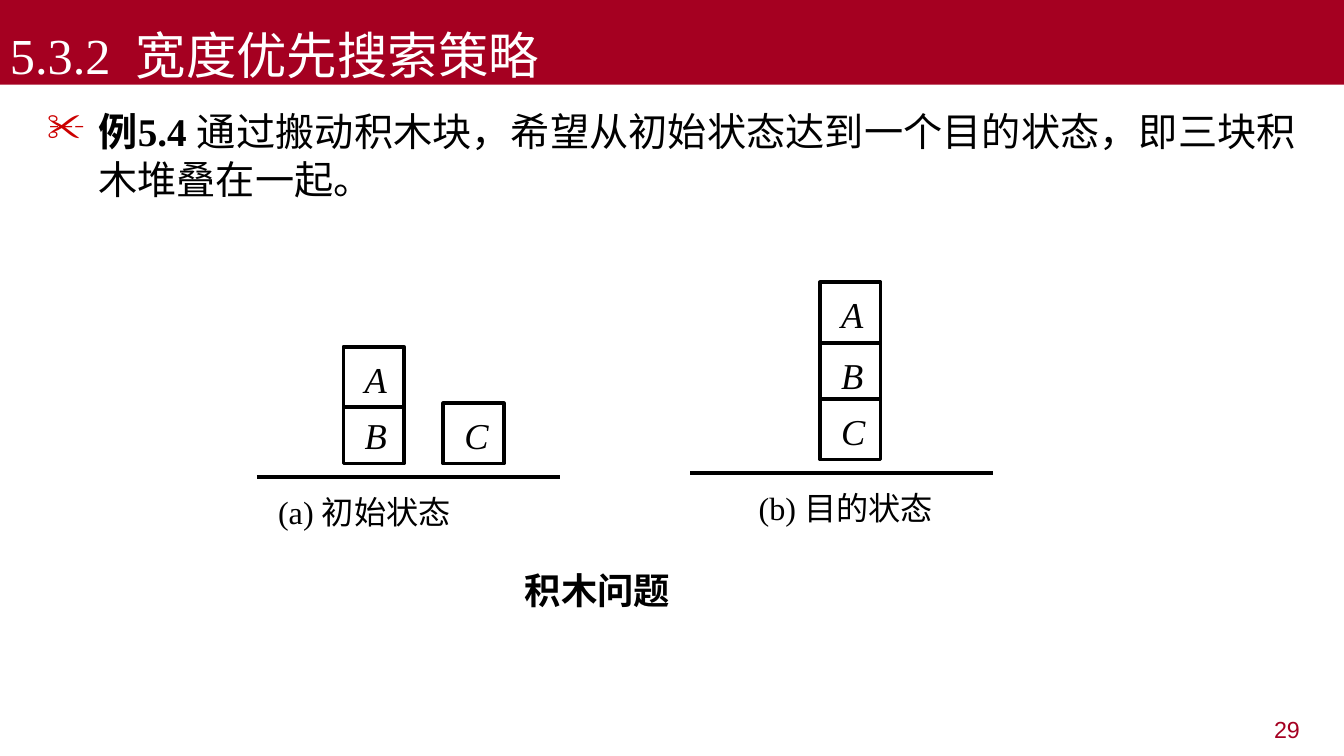
from lxml.etree import SubElement as Sub
from pptx import Presentation
from pptx.dml.color import RGBColor
from pptx.enum.shapes import MSO_CONNECTOR as Conn, MSO_SHAPE as Kind
from pptx.enum.text import MSO_ANCHOR as Anchor, PP_ALIGN as Align
from pptx.oxml.ns import qn
from pptx.util import Inches, Pt

RED = RGBColor(0xA5, 0x00, 0x21)
BLACK = RGBColor(0, 0, 0)
WHITE = RGBColor(255, 255, 255)
SERIF = "Times New Roman"
SANS = "Noto Sans CJK SC"
SIDE = 0.6
STROKE = Pt(2.64)


def style(run, size, color=BLACK, face=SERIF, bold=False, slant=False):
    font = run.font
    font.name, font.size = face, Pt(size)
    font.bold, font.italic = bold, slant
    font.color.rgb = color
    Sub(run._r.get_or_add_rPr(), qn("a:ea")).set("typeface", SANS)


def add_text(slide, box, parts, inset=(0, 0)):
    frame = slide.shapes.add_textbox(*map(Inches, box)).text_frame
    frame.word_wrap = True
    frame.margin_left = frame.margin_right = Inches(inset[0])
    frame.margin_top = frame.margin_bottom = Inches(inset[1])
    para = frame.paragraphs[0]
    for words, look in parts:
        run = para.add_run()
        run.text = words
        style(run, **look)
    return para


def add_box(slide, box, fill):
    rect = slide.shapes.add_shape(Kind.RECTANGLE, *map(Inches, box))
    rect.shadow.inherit = False
    rect.fill.solid()
    rect.fill.fore_color.rgb = fill
    return rect


def add_title(slide, box, words):
    bar = add_box(slide, box, RED)
    bar.line.fill.background()
    frame = bar.text_frame
    frame.text = words
    frame.vertical_anchor = Anchor.BOTTOM
    frame.margin_top = frame.margin_bottom = 0
    para = frame.paragraphs[0]
    para.alignment = Align.LEFT
    style(para.runs[0], 36, WHITE)


def add_body(slide, box):
    para = add_text(slide, box, [
        ("例5.4 ", dict(size=28, bold=True)),
        ("通过搬动积木块，希望从初始状态达到一个目的状态，即三块积木堆叠在一起。",
         dict(size=28))], (0.1, 0.05))
    para.alignment = Align.JUSTIFY
    props = para._p.get_or_add_pPr()
    props.set("marL", str(Inches(0.51)))
    props.set("indent", str(Inches(-0.51)))
    Sub(Sub(props, qn("a:buClr")), qn("a:srgbClr")).set("val", "CC0000")
    Sub(props, qn("a:buChar")).set("char", "✂")


def add_block(slide, left, top, name):
    block = add_box(slide, (left, top, SIDE, SIDE), WHITE)
    block.line.color.rgb = BLACK
    block.line.width = STROKE
    frame = block.text_frame
    frame.text = name
    frame.margin_left, frame.margin_top = Inches(0.21), Inches(0.1)
    frame.margin_right = frame.margin_bottom = 0
    frame.vertical_anchor = Anchor.TOP
    para = frame.paragraphs[0]
    para.alignment = Align.LEFT
    style(para.runs[0], 26, slant=True)


def add_state(slide, left, floor, blocks, label, shift):
    line = slide.shapes.add_connector(
        Conn.STRAIGHT, *map(Inches, (left, floor, left + 3.01, floor)))
    line.line.color.rgb = BLACK
    line.line.width = STROKE
    Sub(line._element.spPr, qn("a:effectLst"))
    for name, right, rise in blocks:
        add_block(slide, left + right, floor - rise, name)
    mark, words = label
    add_text(slide, (left + shift, floor + 0.15, 2.3, 0.46), [
        (mark + " ", dict(size=23)),
        (words, dict(size=23, face=SANS))])


def main():
    deck = Presentation()
    deck.slide_width, deck.slide_height = Inches(13.34), Inches(7.5)
    slide = deck.slides.add_slide(deck.slide_layouts[6])
    page = add_text(slide, (10.11, 7.08, 2.89, 0.39),
                    [("29", dict(size=16.6, color=RED, face="Arial"))],
                    (0.1, 0.05))
    page.alignment = Align.RIGHT
    page.line_spacing = 0.9
    add_body(slide, (0.37, 1.02, 12.6, 5.88))
    add_title(slide, (0, 0, 13.34, 0.84), "5.3.2  宽度优先搜索策略")
    add_state(slide, 2.55, 4.73,
              [("B", 0.86, 0.73), ("C", 1.85, 0.73), ("A", 0.86, 1.29)],
              ("(a)", "初始状态"), 0.21)
    add_state(slide, 6.85, 4.69,
              [("A", 1.29, 1.89), ("B", 1.29, 1.29), ("C", 1.29, 0.73)],
              ("(b)", "目的状态"), 0.68)
    add_text(slide, (5.21, 5.64, 2, 0.52),
             [("积木问题", dict(size=26, face=SANS, bold=True))])
    deck.save("out.pptx")


if __name__ == "__main__":
    main()
